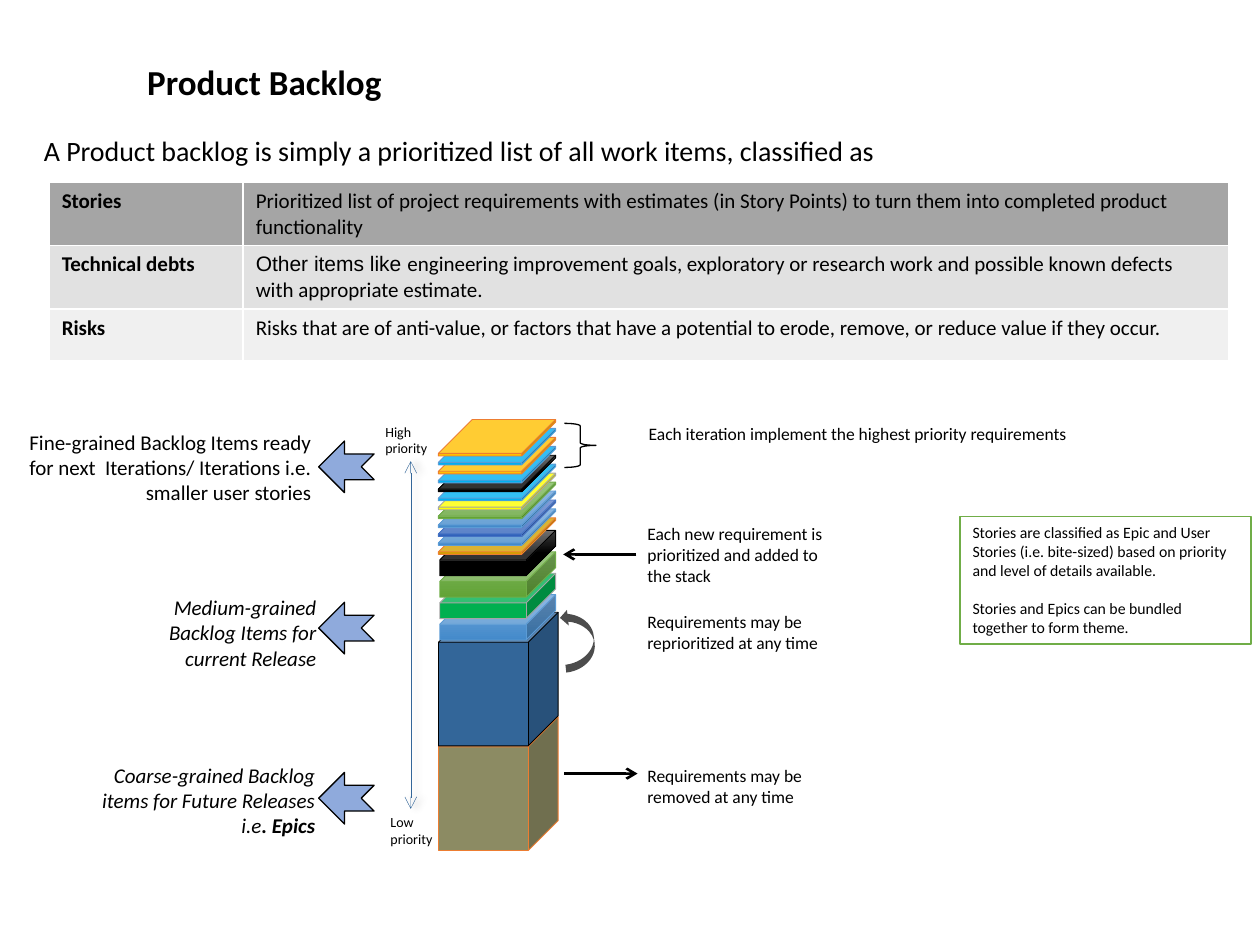
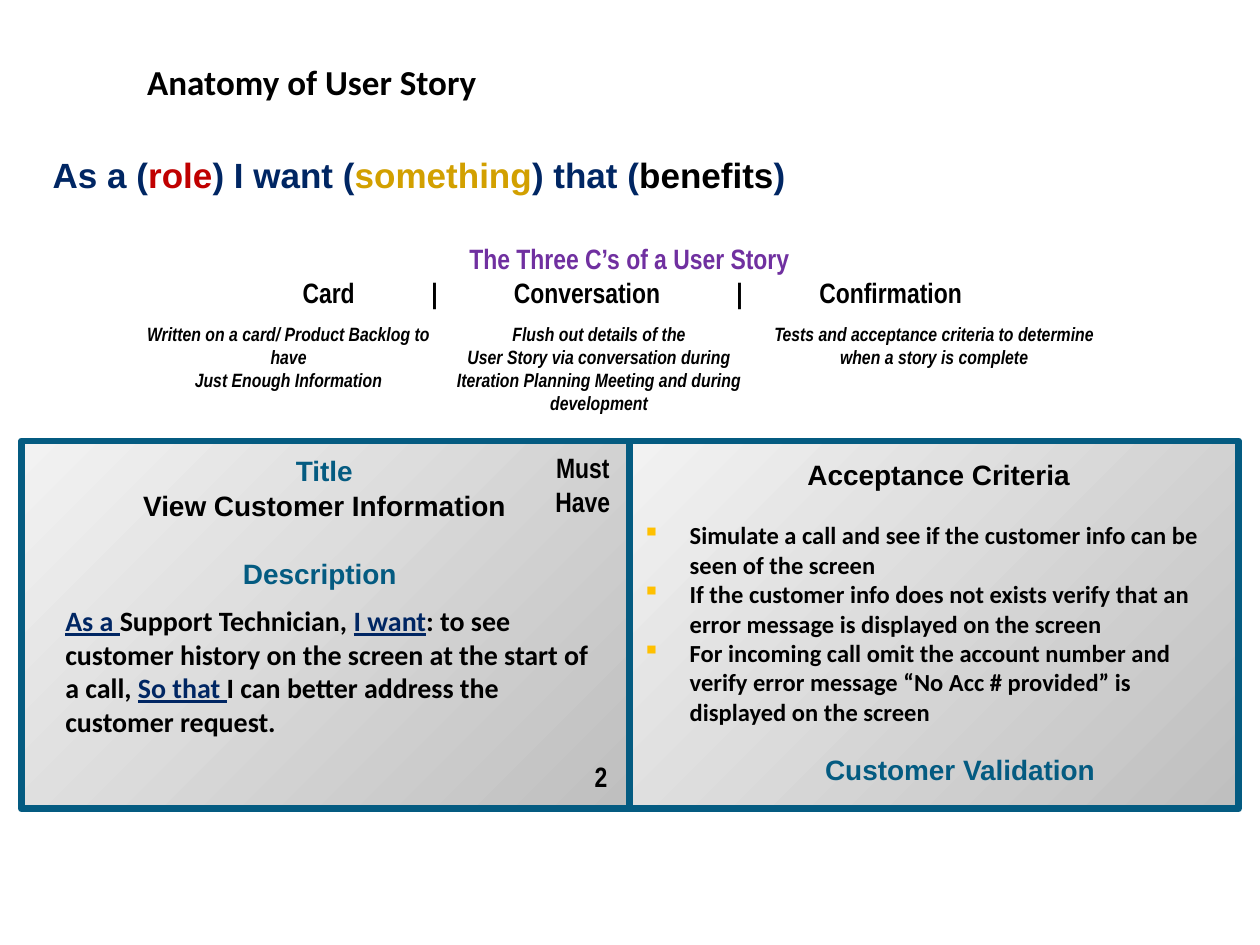
"""Builds two slides: the product backlog and the anatomy of a user story."""
import lxml.etree
import pptx
import pptx.dml.color
import pptx.enum.dml
import pptx.enum.shapes
import pptx.enum.text
import pptx.oxml.ns
import pptx.util

RGB = pptx.dml.color.RGBColor
SHAPE = pptx.enum.shapes.MSO_SHAPE
ALIGN = pptx.enum.text.PP_ALIGN
Pt = pptx.util.Pt
qn = pptx.oxml.ns.qn

BLACK = RGB(0x00, 0x00, 0x00)
WHITE = RGB(0xFF, 0xFF, 0xFF)
CHARCOAL = RGB(0x4B, 0x4B, 0x4B)
GRAY = RGB(0xA5, 0xA5, 0xA5)
LIGHT_GRAY = RGB(0xE1, 0xE1, 0xE1)
PALE_GRAY = RGB(0xF0, 0xF0, 0xF0)
CARD_DARK = RGB(0xBF, 0xBF, 0xBF)
CARD_LIGHT = RGB(0xF2, 0xF2, 0xF2)
OLIVE = RGB(0x8C, 0x8B, 0x63)
STEEL = RGB(0x33, 0x66, 0x99)
SKY = RGB(0x00, 0xB0, 0xF0)
BLUE = RGB(0x5B, 0x9B, 0xD5)
BLUE_TOP = RGB(0x71, 0xA6, 0xDB)
BLUE_BASE = RGB(0x44, 0x8A, 0xCA)
ROYAL = RGB(0x44, 0x72, 0xC4)
ROYAL_TOP = RGB(0x61, 0x83, 0xCB)
ROYAL_BASE = RGB(0x30, 0x62, 0xBB)
PERIWINKLE = RGB(0x8F, 0xAA, 0xDC)
LEAF = RGB(0x70, 0xAD, 0x47)
LEAF_TOP = RGB(0x81, 0xB8, 0x61)
LEAF_BASE = RGB(0x62, 0xA3, 0x36)
EMERALD = RGB(0x00, 0xB0, 0x50)
YELLOW = RGB(0xFF, 0xFF, 0x00)
AMBER = RGB(0xFF, 0xC0, 0x00)
GOLD = RGB(0xD2, 0xA0, 0x00)
ORANGE = RGB(0xED, 0x7D, 0x31)
RED = RGB(0xC0, 0x00, 0x00)
NAVY = RGB(0x00, 0x26, 0x63)
TEAL = RGB(0x04, 0x5B, 0x81)
PURPLE = RGB(0x70, 0x30, 0xA0)

deck = pptx.Presentation()
deck.slide_width = pptx.util.Inches(10)
deck.slide_height = pptx.util.Inches(7.5)
CELL = deck.slide_width // 100


def grid(*cells):
    """Turn counts of grid cells, 100 columns by 75 rows, into lengths."""
    return [round(count * CELL) for count in cells]


def write(frame, paragraphs, align=ALIGN.LEFT, **style):
    """Fill a text frame; a paragraph is a string or a list of (text, changes)."""
    frame.word_wrap = True
    for index, content in enumerate(paragraphs):
        paragraph = frame.paragraphs[0] if index == 0 else frame.add_paragraph()
        paragraph.alignment = align
        for text, changes in [(content, {})] if isinstance(content, str) else content:
            run = paragraph.add_run()
            run.text = text
            look = {"name": "Calibri", "color": BLACK, "bold": False} | style | changes
            run.font.color.rgb = look.pop("color")
            for attribute, value in look.items():
                setattr(run.font, attribute, value)
    return frame


backlog, anatomy = [deck.slides.add_slide(deck.slide_layouts[6]) for _ in range(2)]
for slide, title in ((backlog, "Product Backlog"), (anatomy, "Anatomy of User Story")):
    write(slide.shapes.add_textbox(*grid(10.7, 4.3, 66.7, 4)).text_frame, [title], size=Pt(20), bold=True)

blue_item = ((BLUE_TOP, BLUE_BASE, 1), BLUE)
leaf_item = ((LEAF_TOP, LEAF_BASE, 1), LEAF)
black_item = ((CHARCOAL, BLACK, 0.5), BLACK)
sky_item, amber_item = (SKY, BLUE), (AMBER, ORANGE)
stack = [
    (34.8, 56.9, 8.3, 9.5, 10.6, 0.25, [(OLIVE, ORANGE), (STEEL, BLACK)]),
    (34.9, 47.2, 1.7, 9.2, 3.6, 0.654, [blue_item, (EMERALD, GRAY), leaf_item, black_item]),
    (34.8, 41.1, 0.71, 9.3, 2.9, 0.929, [
        (GOLD, ORANGE), blue_item, ((ROYAL_TOP, ROYAL_BASE, 1), ROYAL), blue_item,
        leaf_item, (YELLOW, GRAY), sky_item, black_item, sky_item, amber_item,
        sky_item, amber_item]),
]
for left, lowest, pitch, width, height, depth, items in stack:
    for level, (paint, edge) in enumerate(items):
        item = backlog.shapes.add_shape(SHAPE.CUBE, *grid(left, lowest - level * pitch, width, height))
        item.adjustments[0] = depth
        item.shadow.inherit = False
        item.line.color.rgb = edge
        item.line.width = Pt(0.5)
        if isinstance(paint, RGB):
            item.fill.solid()
            item.fill.fore_color.rgb = paint
        else:
            item.fill.gradient()
            item.fill.gradient_angle = 270
            first, last = item.fill.gradient_stops
            first.color.rgb, last.color.rgb, last.position = paint

arrows = [
    ((32.6, 36.6, 32.6, 64.2), STEEL, 0.25, ("headEnd", "tailEnd")),
    ((50.5, 44, 44.7, 44), BLACK, 1.5, ("tailEnd",)),
    ((44.8, 61.4, 50.6, 61.4), BLACK, 1.5, ("tailEnd",)),
]
for ends, color, weight, heads in arrows:
    arrow = backlog.shapes.add_connector(pptx.enum.shapes.MSO_CONNECTOR.STRAIGHT, *grid(*ends))
    arrow.line.color.rgb = color
    arrow.line.width = Pt(weight)
    properties = arrow._element.spPr
    for head in heads:
        lxml.etree.SubElement(properties.find(qn("a:ln")), qn("a:" + head), type="arrow")
    effects = lxml.etree.SubElement(properties, qn("a:effectLst"))
    if len(heads) == 2:
        shadow = lxml.etree.SubElement(
            effects, qn("a:outerShdw"), blurRad=str(Pt(4)), dist=str(Pt(3)), dir="0")
        shade = lxml.etree.SubElement(shadow, qn("a:srgbClr"), val=str(BLACK))
        lxml.etree.SubElement(shade, qn("a:alpha"), val="40000")

for top in (35, 47.8, 61.3):
    pointer = backlog.shapes.add_shape(SHAPE.NOTCHED_RIGHT_ARROW, *grid(25.3, top, 4.4, 4.1))
    pointer._element.spPr.find(qn("a:xfrm")).set("flipH", "1")
    pointer.shadow.inherit = False
    pointer.fill.solid()
    pointer.fill.fore_color.rgb = PERIWINKLE
    pointer.line.color.rgb = BLACK
    pointer.line.width = Pt(0.75)

iteration_brace = backlog.shapes.add_shape(SHAPE.RIGHT_BRACE, *grid(44.8, 33.6, 2.5, 3.5))
iteration_brace.shadow.inherit = False
iteration_brace.fill.background()
iteration_brace.line.color.rgb = BLACK
iteration_brace.line.width = Pt(0.75)

reprioritize = backlog.shapes.add_shape(SHAPE.CURVED_UP_ARROW, *grid(43.4, 49.5, 5, 2.5))
reprioritize.rotation = 263.4
reprioritize.shadow.inherit = False
reprioritize.fill.solid()
reprioritize.fill.fore_color.rgb = BLACK
reprioritize.line.fill.background()
ink = reprioritize._element.spPr.find(qn("a:solidFill"))[0]
lxml.etree.SubElement(ink, qn("a:alpha"), val="70000")

small, note = {"size": Pt(8)}, {"size": Pt(10)}
grain = {"size": Pt(12), "align": ALIGN.RIGHT}
labels = [
    ((29.6, 33.1, 6.6, 3.7), "High priority", small),
    ((30, 64.1, 5.9, 3.7), "Low priority", small),
    ((2.5, 10.1, 96.7, 3.7),
     "A Product backlog is simply a prioritized list of all work items, classified as", {"size": Pt(16)}),
    ((0, 33.6, 25.7, 9.1),
     "Fine-grained Backlog Items ready for next  Iterations/ Iterations i.e. smaller user stories", grain),
    ((7.5, 46.7, 18.6, 7.1), "Medium-grained Backlog Items for current Release", grain | {"italic": True}),
    ((5.3, 60, 20.7, 7.1),
     [("Coarse-grained Backlog items for Future Releases i.e", {}), (". Epics", {"bold": True})],
     grain | {"italic": True}),
    ((50.5, 33.1, 37.2, 4.4), "Each iteration implement the highest priority requirements", note),
    ((50.4, 41, 16.3, 6.1), "Each new requirement is prioritized and added to the stack", note),
    ((50.4, 48, 16.3, 6.1), "Requirements may be reprioritized at any time", note),
    ((50.4, 60.2, 16.3, 4.4), "Requirements may be removed at any time", note),
]
for place, text, style in labels:
    write(backlog.shapes.add_textbox(*grid(*place)).text_frame, [text], **style)

theme_note = backlog.shapes.add_shape(SHAPE.RECTANGLE, *grid(76.2, 41, 23.1, 10.1))
theme_note.shadow.inherit = False
theme_note.fill.solid()
theme_note.fill.fore_color.rgb = WHITE
theme_note.line.color.rgb = LEAF
theme_note.line.width = Pt(1)
theme_note.text_frame.vertical_anchor = pptx.enum.text.MSO_ANCHOR.TOP
write(theme_note.text_frame, [
    "Stories are classified as Epic and User Stories (i.e. bite-sized) based on priority "
    "and level of details available.",
    "Stories and Epics can be bundled together to form theme."], size=Pt(9))
theme_note.text_frame.paragraphs[1].space_before = Pt(11)

work_items = [
    (GRAY, "Stories", "Prioritized list of project requirements with estimates (in Story Points) "
     "to turn them into completed product functionality"),
    (LIGHT_GRAY, "Technical debts", [
        ("Other items like ", {"name": "Arial"}),
        ("engineering improvement goals, exploratory or research work and possible known "
         "defects with appropriate estimate.", {})]),
    (PALE_GRAY, "Risks", "Risks that are of anti-value, or factors that have a potential to erode, "
     "remove, or reduce value if they occur."),
]
item_table = backlog.shapes.add_table(3, 2, *grid(3.9, 14.5, 93.6, 12.3)).table
item_table.columns[0].width, item_table.columns[1].width = grid(15.4, 78.2)
for row, (shade, kind, meaning) in enumerate(work_items):
    for column, text in enumerate((kind, meaning)):
        cell = item_table.cell(row, column)
        cell.fill.solid()
        cell.fill.fore_color.rgb = shade
        write(cell.text_frame, [text], size=Pt(12), bold=column == 0)

for left in (50, 1.7):
    card = anatomy.shapes.add_shape(SHAPE.RECTANGLE, *grid(left, 35, 48.3, 29.2))
    card.shadow.inherit = False
    card.line.color.rgb = TEAL
    card.line.width = Pt(4)
    card.fill.gradient()
    card.fill.gradient_angle = 135
    for stop, color in zip(card.fill.gradient_stops, (CARD_DARK, CARD_LIGHT)):
        stop.color.rgb = color

heading = {"name": "Arial", "size": Pt(16), "bold": True}
narrow = heading | {"name": "Arial Narrow"}
centered = {"align": ALIGN.CENTER}
detail = narrow | centered | {"size": Pt(11), "italic": True}
keyword = {"color": NAVY, "underline": True}
parts = [
    ((22.5, 35.5, 7.5, 3.7), ["Title"], heading | {"color": TEAL}),
    ((18.3, 43.7, 15.8, 3.7), ["Description"], heading | {"color": TEAL}),
    ((46.2, 59.8, 3.8, 3.7), ["2"], narrow),
    ((63.3, 59.2, 25.8, 3.7), ["Customer Validation"], heading | centered | {"color": TEAL}),
    ((42.5, 35.3, 7.5, 6.4), ["Must Have"], narrow | centered),
    ((10, 25.1, 25.8, 4.7),
     ["Written on a card/ Product Backlog to have", "Just Enough Information"], detail),
    ((34.2, 25.1, 26.7, 8.4),
     ["Flush out details of the",
      "User Story via conversation during Iteration Planning Meeting and during development"], detail),
    ((60, 25.1, 28.3, 4.7),
     ["Tests and acceptance criteria to determine when a story is complete"], detail),
    ((51.5, 35.8, 46, 4.2), ["Acceptance Criteria"], heading | centered),
    ((5.7, 38.3, 40.1, 4.2), ["View Customer Information"], heading | centered),
    ((4.2, 47.4, 44.2, 11.8), [[
        ("As a ", keyword), ("Support Technician, ", {}), ("I want", keyword),
        (": to see customer history on the screen at the start of a call, ", {}),
        ("So that ", keyword), ("I can better address the customer request.", {})]],
     {"size": Pt(16), "bold": True}),
    ((3.2, 11.7, 86, 4.2), [[
        ("As a (", {}), ("role", {"color": RED}), (") I want (", {}),
        ("something", {"color": GOLD}), (") that (", {}), ("benefits", {"color": BLACK}),
        (")", {})]], heading | {"size": Pt(20), "color": NAVY}),
]
for place, paragraphs, style in parts:
    write(anatomy.shapes.add_textbox(*grid(*place)).text_frame, paragraphs, **style)

three_cs = write(
    anatomy.shapes.add_textbox(*grid(8.4, 18.7, 83.1, 7.1)).text_frame,
    [[("The Three C’s of a User Story", {"color": PURPLE})],
     "\tCard\t|\tConversation\t|\tConfirmation"], **narrow)
three_cs.paragraphs[0].alignment = ALIGN.CENTER
tab_stops = lxml.etree.SubElement(three_cs.paragraphs[1]._p.get_or_add_pPr(), qn("a:tabLst"))
for position in grid(16.7, 25.1, 37.2, 49.3, 61.3):
    lxml.etree.SubElement(tab_stops, qn("a:tab"), pos=str(position), algn="ctr")

criteria = write(anatomy.shapes.add_textbox(*grid(50, 40.8, 47.5, 17.5)).text_frame, [
    "Simulate a call and see if the customer info can be seen of the screen",
    "If the customer info does not exists verify that an error message is displayed on the screen",
    "For incoming call omit the account number and verify error message “No Acc # provided” "
    "is displayed on the screen"], size=Pt(14), bold=True)
hanging = grid(3.75)[0]
for criterion in criteria.paragraphs:
    layout = criterion._p.get_or_add_pPr()
    layout.set("marL", str(hanging))
    layout.set("indent", str(-hanging))
    bullet_color = lxml.etree.SubElement(layout, qn("a:buClr"))
    lxml.etree.SubElement(bullet_color, qn("a:srgbClr"), val=str(AMBER))
    lxml.etree.SubElement(layout, qn("a:buChar"), char="▪")

deck.save("out.pptx")
